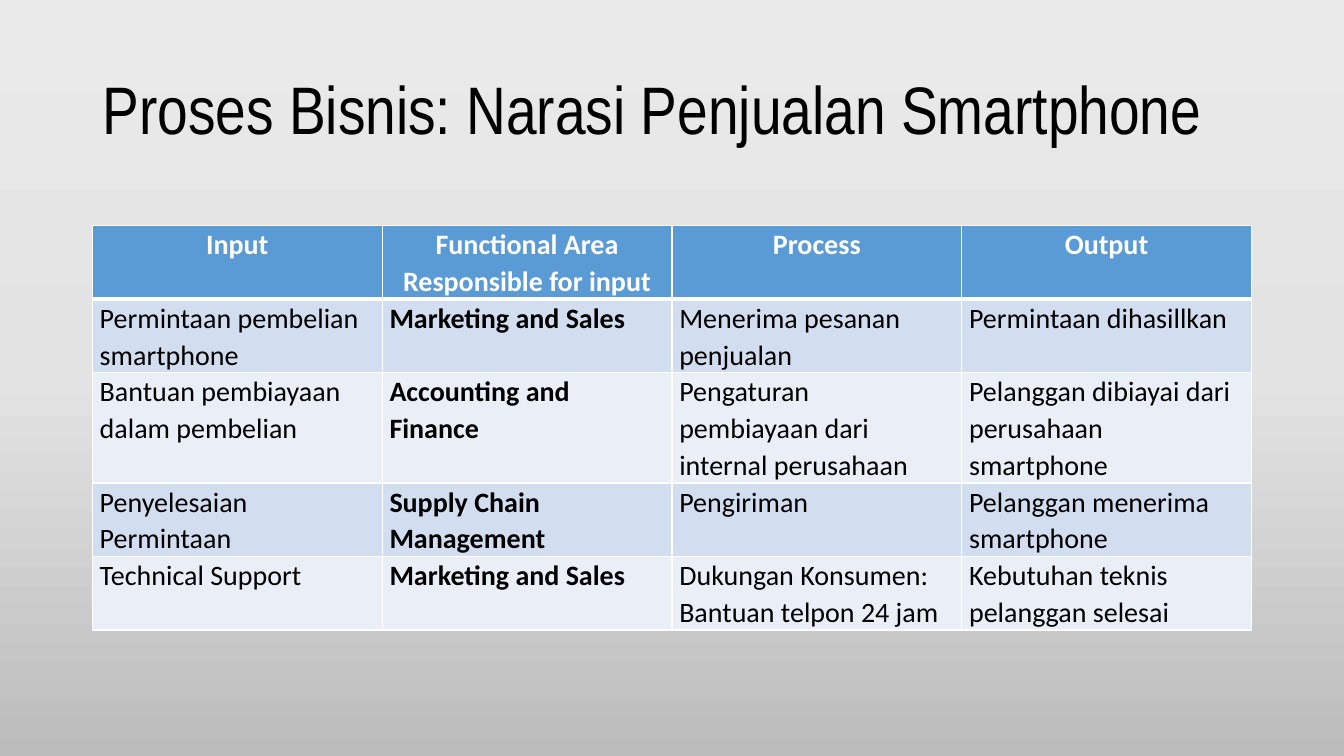
"""Builds the slide on the business process of smartphone sales, with its table."""
from copy import deepcopy

from pptx import Presentation
from pptx.dml.color import RGBColor
from pptx.enum.text import MSO_ANCHOR, MSO_AUTO_SIZE, PP_ALIGN
from pptx.oxml import parse_xml
from pptx.oxml.ns import nsdecls, qn
from pptx.util import Pt

PX = 9525
BLACK = RGBColor(0x00, 0x00, 0x00)
WHITE = RGBColor(0xFF, 0xFF, 0xFF)
HEADER = RGBColor(0x5B, 0x9B, 0xD5)
BANDS = [RGBColor(0xEA, 0xEF, 0xF7), RGBColor(0xD2, 0xDE, 0xEF)]
BACKDROP = [RGBColor(0xEB, 0xEA, 0xEA), RGBColor(0xE4, 0xE3, 0xE3), RGBColor(0xBD, 0xBC, 0xBC)]

ROWS = [
    ("Input", "Functional Area Responsible for input", "Process", "Output"),
    ("Permintaan pembelian smartphone", "Marketing and Sales",
     "Menerima pesanan penjualan", "Permintaan dihasillkan"),
    ("Bantuan pembiayaan dalam pembelian", "Accounting and Finance",
     "Pengaturan pembiayaan dari internal perusahaan",
     "Pelanggan dibiayai dari perusahaan smartphone"),
    ("Penyelesaian Permintaan", "Supply Chain Management",
     "Pengiriman", "Pelanggan menerima smartphone"),
    ("Technical Support", "Marketing and Sales",
     "Dukungan Konsumen: Bantuan telpon 24 jam", "Kebutuhan teknis pelanggan selesai"),
]
ROW_HEIGHTS = [70, 70, 105, 70, 70]
COL_WIDTH = 276


def write(tf, text, font, size, color=BLACK, bold=False, align=PP_ALIGN.LEFT, spacing=1.0):
    p = tf.paragraphs[0]
    p.alignment = align
    p.line_spacing = spacing
    p.space_before = p.space_after = Pt(0)
    r = p.add_run()
    r.text = text
    r.font.name = font
    r.font.size = Pt(size)
    r.font.bold = bold
    r.font.color.rgb = color


prs = Presentation()
prs.slide_width, prs.slide_height = 1280 * PX, 720 * PX
s = prs.slides.add_slide(prs.slide_layouts[5])

fill = s.background.fill
fill.gradient()
fill.gradient_angle = 270
stop_list = s.element.find(".//" + qn("a:gsLst"))
stop_list.append(deepcopy(stop_list[-1]))
for i, (stop, color) in enumerate(zip(fill.gradient_stops, BACKDROP)):
    stop.position = i / 2
    stop.color.rgb = color

title = s.shapes.title
title.left, title.top, title.width, title.height = 88 * PX, 38 * PX, 1104 * PX, 139 * PX
tf = title.text_frame
tf.auto_size = MSO_AUTO_SIZE.NONE
tf.vertical_anchor = MSO_ANCHOR.MIDDLE
write(tf, "Proses Bisnis: Narasi Penjualan Smartphone", "Arial Narrow", 48, spacing=0.9)

frame = s.shapes.add_table(len(ROWS), len(ROWS[0]), 88 * PX, 215 * PX,
                           len(ROWS[0]) * COL_WIDTH * PX, sum(ROW_HEIGHTS) * PX)
table = frame.table
for col in table.columns:
    col.width = COL_WIDTH * PX

for i, texts in enumerate(ROWS):
    table.rows[i].height = ROW_HEIGHTS[i] * PX
    for j, text in enumerate(texts):
        head = i == 0
        cell = table.cell(i, j)
        cell.margin_left = cell.margin_right = 7 * PX
        cell.margin_top = cell.margin_bottom = 0
        write(cell.text_frame, text, "Calibri", 20, WHITE if head else BLACK,
              bold=head or j == 1, align=PP_ALIGN.CENTER if head else PP_ALIGN.LEFT,
              spacing=1.07)
        cell.fill.solid()
        cell.fill.fore_color.rgb = HEADER if head else BANDS[i % 2]
        tc_pr = cell._tc.get_or_add_tcPr()
        for k, side in enumerate("LRTB"):
            thick = (side == "B" and i == 0) or (side == "T" and i == 1)
            tc_pr.insert(k, parse_xml(
                f'<a:ln{side} {nsdecls("a")} w="{Pt(3 if thick else 1)}">'
                f'<a:solidFill><a:srgbClr val="{WHITE}"/></a:solidFill></a:ln{side}>'))

prs.save("out.pptx")
